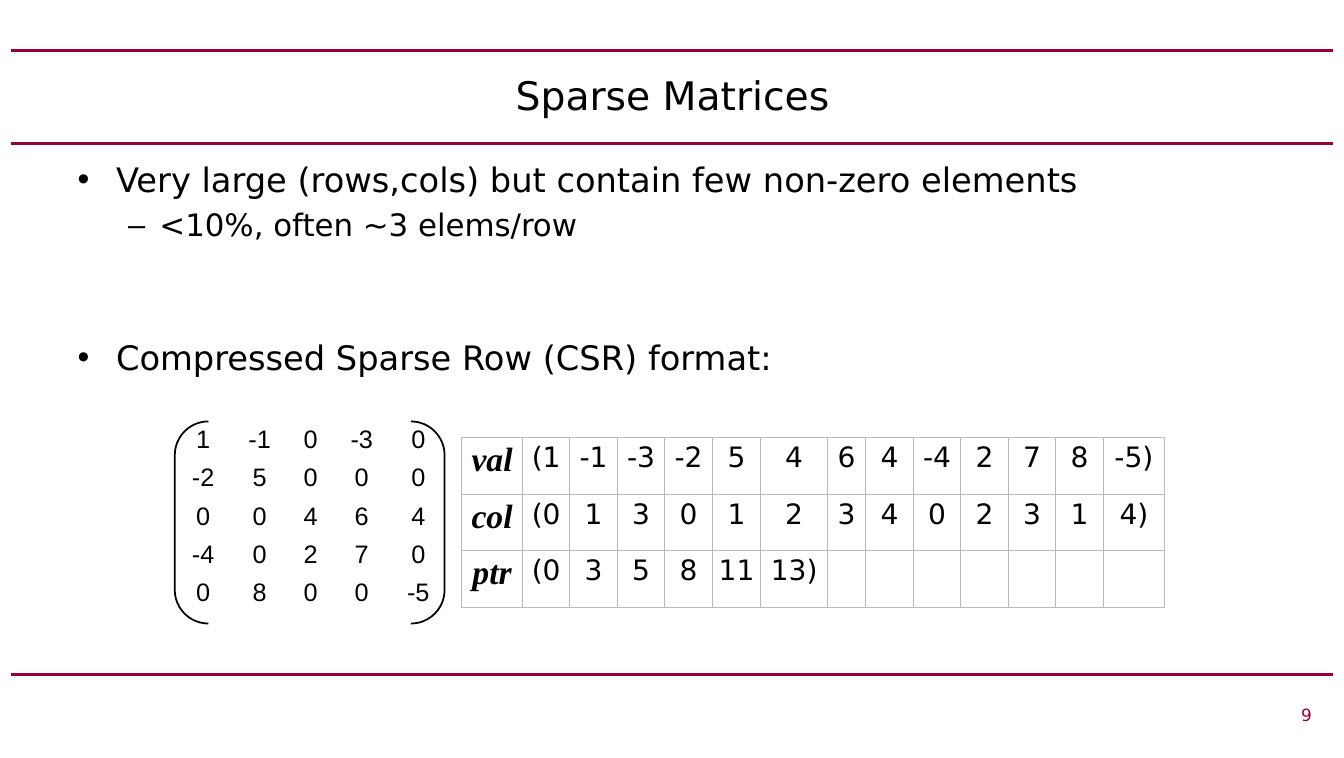
"""Build the slide on sparse matrices and the CSR format."""
from pptx import Presentation
from pptx.dml.color import RGBColor
from pptx.enum.shapes import MSO_CONNECTOR, MSO_SHAPE
from pptx.enum.text import MSO_ANCHOR, PP_ALIGN
from pptx.oxml.ns import qn
from pptx.util import Pt
from lxml import etree

SCALE = 9144
BLACK, CRIMSON, GREY = "000000", "990033", "BABABA"

TITLE = "Sparse Matrices"
PAGE_NUMBER = "9"
POINTS = [
    ("Very large (rows,cols) but contain few non-zero elements", "•", 24, 0, 38, 38),
    ("<10%, often ~3 elems/row", "–", 22, 5, 81, 31),
    ("Compressed Sparse Row (CSR) format:", "•", 24, 67, 38, 38),
]
MATRIX = [
    [1, -1, 0, -3, 0],
    [-2, 5, 0, 0, 0],
    [0, 0, 4, 6, 4],
    [-4, 0, 2, 7, 0],
    [0, 8, 0, 0, -5],
]
CSR = {
    "val": [1, -1, -3, -2, 5, 4, 6, 4, -4, 2, 7, 8, -5],
    "col": [0, 1, 3, 0, 1, 2, 3, 4, 0, 2, 3, 1, 4],
    "ptr": [0, 3, 5, 8, 11, 13],
}
RULE_TOPS = [50, 142, 667]
MATRIX_COLUMNS = [56, 56, 45, 56, 56]
CSR_COLUMNS = [60] + [47] * 4 + [48, 66, 38] + [47] * 5 + [61]

BODY_FORMAT = {"name": "DejaVu Sans", "size": Pt(24)}
TITLE_FORMAT = BODY_FORMAT | {"size": Pt(28)}
PAGE_FORMAT = BODY_FORMAT | {"size": Pt(12)}
MATRIX_FORMAT = {"name": "Arial", "size": Pt(18)}
NUMBER_FORMAT = BODY_FORMAT | {"size": Pt(20)}
LABEL_FORMAT = {"name": "Times New Roman", "size": Pt(24), "bold": True, "italic": True}


def px(*lengths):
    return [length * SCALE for length in lengths]


def color(value):
    return RGBColor.from_string(value)


def write(paragraph, text, text_format, align=PP_ALIGN.LEFT, text_color=BLACK):
    paragraph.alignment = align
    run = paragraph.add_run()
    run.text = text
    for name, value in text_format.items():
        setattr(run.font, name, value)
    run.font.color.rgb = color(text_color)


def add_text_frame(slide, box, anchor=MSO_ANCHOR.TOP):
    frame = slide.shapes.add_textbox(*px(*box)).text_frame
    frame.word_wrap = True
    frame.vertical_anchor = anchor
    return frame


def add_rule(slide, top):
    rule = slide.shapes.add_connector(MSO_CONNECTOR.STRAIGHT, *px(11, top, 1319, top))
    rule.line.color.rgb = color(CRIMSON)
    rule.line.width = Pt(2.25)
    etree.SubElement(rule._element.spPr, qn("a:effectLst"))


def add_points(slide):
    frame = add_text_frame(slide, (67, 152, 1197, 506))
    for index, (text, bullet, size, space, margin, hanging) in enumerate(POINTS):
        paragraph = frame.add_paragraph() if index else frame.paragraphs[0]
        paragraph.space_before = Pt(space)
        properties = paragraph._p.get_or_add_pPr()
        properties.set("marL", str(margin * SCALE))
        properties.set("indent", str(-hanging * SCALE))
        etree.SubElement(properties, qn("a:buFont"), typeface="Arial")
        etree.SubElement(properties, qn("a:buChar"), char=bullet)
        write(paragraph, text, BODY_FORMAT | {"size": Pt(size)})


def add_border(cell):
    properties = cell._tc.get_or_add_tcPr()
    for side in ("lnL", "lnR", "lnT", "lnB"):
        line = etree.SubElement(properties, qn(f"a:{side}"), w=str(Pt(0.75)))
        fill = etree.SubElement(line, qn("a:solidFill"))
        etree.SubElement(fill, qn("a:srgbClr"), val=GREY)


def add_grid(slide, left, top, widths, height, rows, formats, bordered):
    box = px(left, top, sum(widths), height * len(rows))
    table = slide.shapes.add_table(len(rows), len(widths), *box).table
    table.first_row = table.horz_banding = False
    for column, width in zip(table.columns, px(*widths)):
        column.width = width
    margins = dict.fromkeys(
        ("margin_left", "margin_right", "margin_top", "margin_bottom"), 4 * SCALE)
    for row, texts in zip(table.rows, rows):
        row.height = height * SCALE
        for cell in row.cells:
            for name, value in margins.items():
                setattr(cell, name, value)
            if bordered:
                add_border(cell)
            cell.fill.background()
        for cell, text, text_format in zip(row.cells, texts, formats):
            write(cell.text_frame.paragraphs[0], text, text_format, PP_ALIGN.CENTER)


def csr_row(label, values):
    texts = [str(value) for value in values]
    return [label, "(" + texts[0], *texts[1:-1], texts[-1] + ")"]


def main():
    presentation = Presentation()
    presentation.slide_width, presentation.slide_height = px(1330, 750)
    slide = presentation.slides.add_slide(presentation.slide_layouts[6])

    for top in RULE_TOPS:
        add_rule(slide, top)
    title = add_text_frame(slide, (67, 50, 1197, 87), MSO_ANCHOR.MIDDLE)
    write(title.paragraphs[0], TITLE, TITLE_FORMAT, PP_ALIGN.CENTER)
    add_points(slide)
    page = add_text_frame(slide, (377, 692, 931, 33))
    write(page.paragraphs[0], PAGE_NUMBER, PAGE_FORMAT, PP_ALIGN.RIGHT, CRIMSON)

    matrix_rows = [[str(value) for value in row] for row in MATRIX]
    add_grid(slide, 173, 417, MATRIX_COLUMNS, 38, matrix_rows,
             [MATRIX_FORMAT] * len(MATRIX_COLUMNS), False)
    brackets = slide.shapes.add_shape(MSO_SHAPE.DOUBLE_BRACKET, *px(173, 417, 267, 200))
    brackets.shadow.inherit = False
    brackets.fill.background()
    brackets.line.color.rgb = color(BLACK)
    brackets.line.width = Pt(1.25)

    csr_rows = [csr_row(label, values) for label, values in CSR.items()]
    csr_formats = [LABEL_FORMAT] + [NUMBER_FORMAT] * (len(CSR_COLUMNS) - 1)
    add_grid(slide, 457, 433, CSR_COLUMNS, 56, csr_rows, csr_formats, True)

    presentation.save("out.pptx")


if __name__ == "__main__":
    main()
